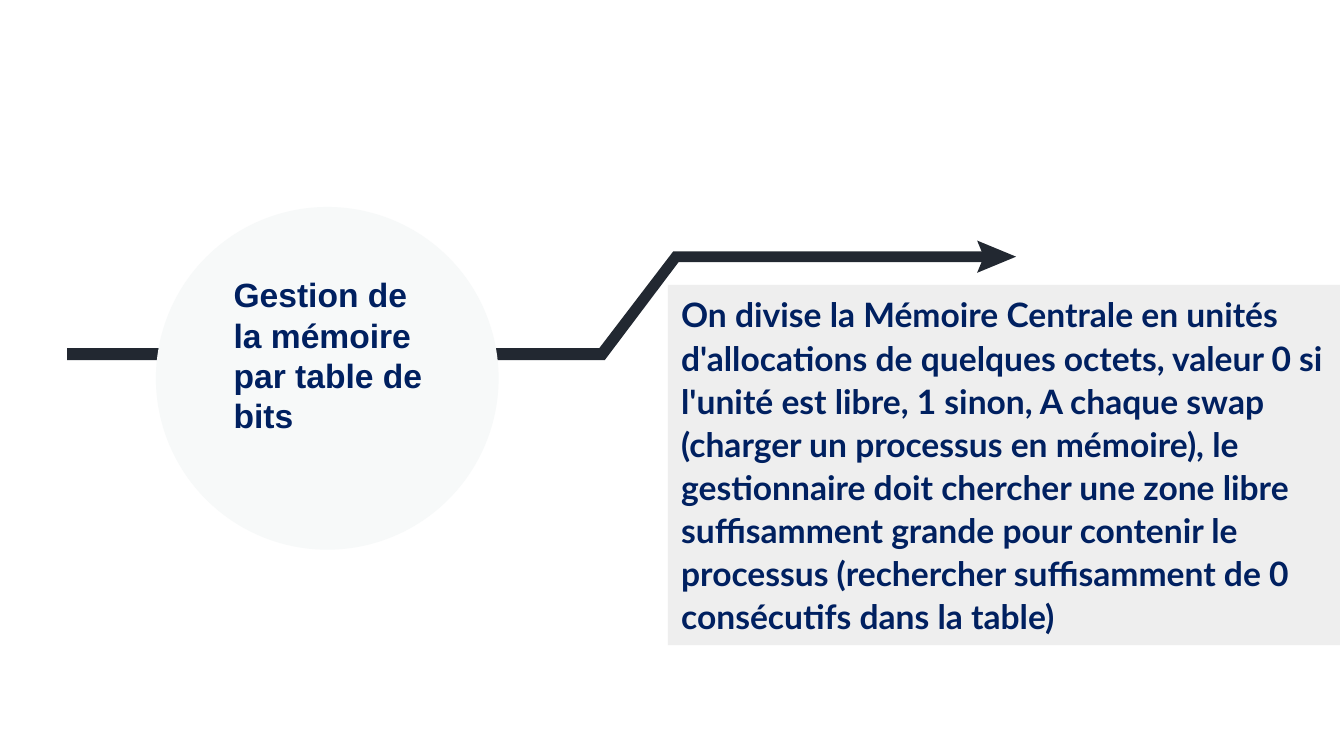
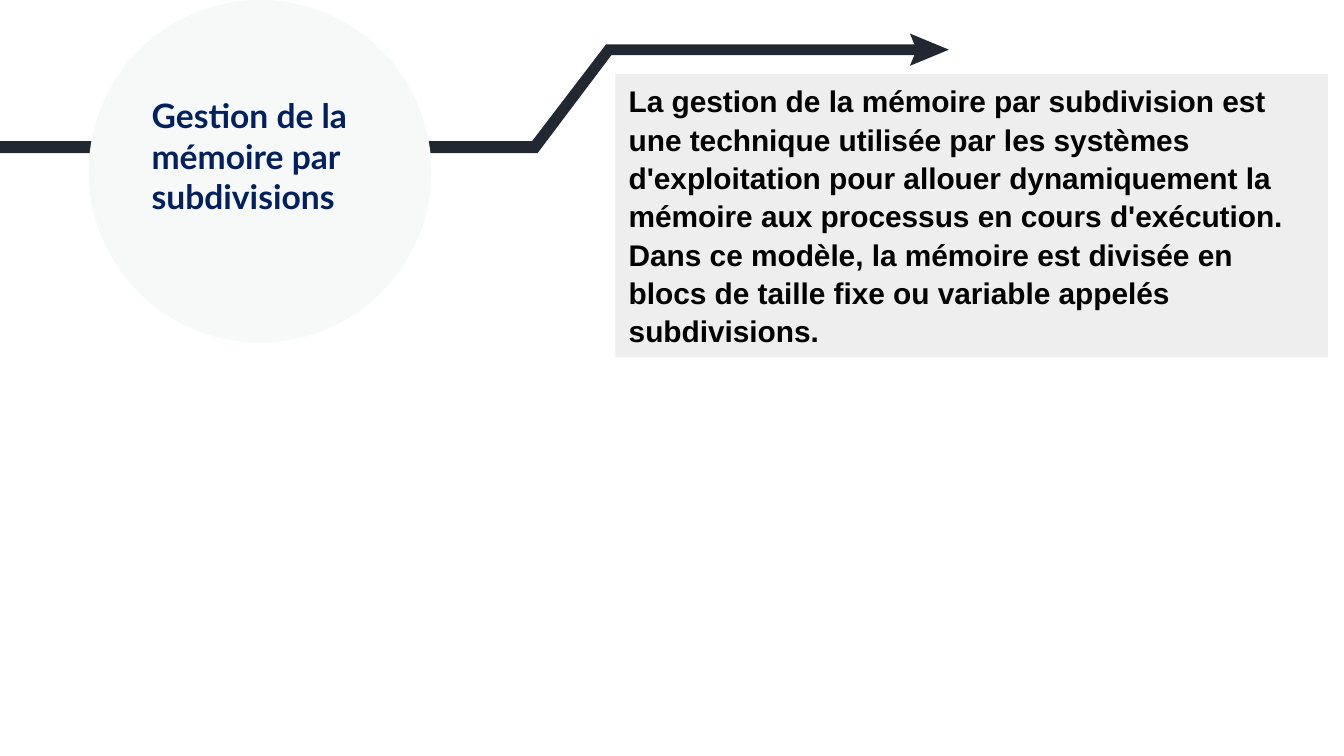
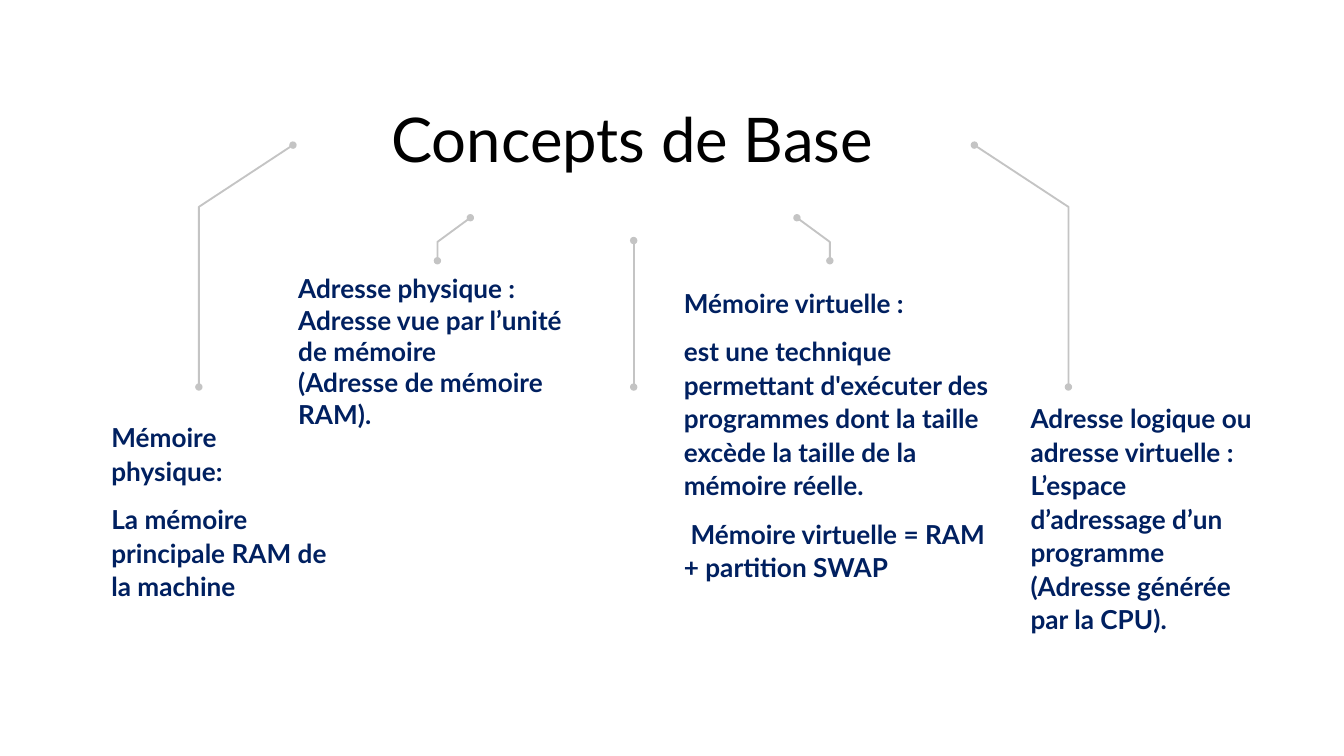
"""Build three slides on memory management."""
from dataclasses import dataclass

import pptx
import pptx.dml.color
import pptx.enum.shapes
import pptx.enum.text
import pptx.oxml
import pptx.oxml.ns
import pptx.util

WIDTH = pptx.util.Inches(10)
HEIGHT = WIDTH * 9 // 16
COLUMNS = 100
ROWS = COLUMNS * 9 / 16

NAVY, BLACK, DARK = "002060", "000000", "222831"
PALE, PANEL, GREY = "F7F9F9", "EEEEEE", "C4C4C4"
LATO, ARIAL = "Lato", "Arial"

Point = tuple[float, float]

BAND: list[Point] = [(0, 10.5), (39.6, 10.5), (45.1, 3.3), (68.6, 3.3),
                     (68.6, 4.1), (45.5, 4.1), (40, 11.4), (0, 11.4)]
ARROWHEAD: list[Point] = [(67.7, 2.5), (70.6, 3.7), (67.7, 4.9), (68.2, 3.7)]
CIRCLE_LEFT, CIRCLE_SIZE = 6.6, 25.5

AXIS = 47.15
BRANCHES: list[list[Point]] = [
    [(72.5, 10.8), (79.5, 15.4), (79.5, 28.8)],
    [(59.3, 16.2), (61.75, 18), (61.75, 19.4)],
]
STEM: list[Point] = [(AXIS, 17.9), (AXIS, 28.8)]


@dataclass(frozen=True)
class Area:
    """A rectangle in grid columns and rows."""
    left: float
    top: float
    width: float
    height: float


@dataclass(frozen=True)
class TextStyle:
    """The look of a block of text."""
    size: float = 14
    font: str = LATO
    color: str = NAVY
    bold: bool = True
    airy: bool = False


@dataclass(frozen=True)
class TextBlock:
    """Paragraphs with their place and look."""
    area: Area
    paragraphs: tuple[str, ...]
    style: TextStyle


@dataclass(frozen=True)
class Topic:
    """A circled heading whose arrow leads to an explanation."""
    origin: Point
    heading: TextBlock
    explanation: TextBlock


TOPICS = [
    Topic(
        (5, 15.4),
        TextBlock(Area(16.4, 19.9, 16.4, 13.1),
                  ("Gestion de la mémoire par table de bits",),
                  TextStyle(18, ARIAL)),
        TextBlock(Area(49.7, 21.2, 50, 26.8),
                  ("On divise la Mémoire Centrale en unités d'allocations de "
                   "quelques octets, valeur 0 si l'unité est libre, 1 sinon, "
                   "A chaque swap (charger un processus en mémoire), le "
                   "gestionnaire doit chercher une zone libre suffisamment "
                   "grande pour contenir le processus (rechercher "
                   "suffisamment de 0 consécutifs dans la table)",),
                  TextStyle(18, airy=True))),
    Topic(
        (0, 0),
        TextBlock(Area(10.3, 6.6, 17.5, 10.1),
                  ("Gestion de la mémoire par subdivisions",),
                  TextStyle(18)),
        TextBlock(Area(45.8, 5.5, 53, 21.1),
                  ("La gestion de la mémoire par subdivision est une technique "
                   "utilisée par les systèmes d'exploitation pour allouer "
                   "dynamiquement la mémoire aux processus en cours "
                   "d'exécution. Dans ce modèle, la mémoire est divisée en "
                   "blocs de taille fixe ou variable appelés subdivisions.",),
                  TextStyle(16, ARIAL, BLACK, airy=True))),
]

TITLE = TextBlock(Area(25.4, 3.7, 43.3, 13.1), ("Concepts de Base",),
                  TextStyle(33, color=BLACK, bold=False))
AIRY = TextStyle(airy=True)
VIRTUAL_MEMORY = TextBlock(
    Area(49.9, 20.7, 25.7, 23.3),
    ("Mémoire virtuelle :",
     "est une technique permettant d'exécuter des programmes dont la taille "
     "excède la taille de la mémoire réelle.",
     "Mémoire virtuelle = RAM + partition SWAP"), AIRY)
CONCEPTS = [
    TextBlock(Area(7.3, 30.7, 18.5, 14.7),
              ("Mémoire physique:", "La mémoire principale RAM de la machine"),
              AIRY),
    TextBlock(Area(21.2, 19.8, 22.2, 12.8),
              ("Adresse physique :", "Adresse vue par l’unité", "de mémoire",
               "(Adresse de mémoire RAM)."), TextStyle()),
    TextBlock(Area(75.7, 29.3, 18.6, 21.1),
              ("Adresse logique ou adresse virtuelle : L’espace d’adressage "
               "d’un programme (Adresse générée par la CPU).",), AIRY),
]


def rgb(color: str) -> pptx.dml.color.RGBColor:
    """Turn a hex string into a colour."""
    return pptx.dml.color.RGBColor.from_string(color)


def across(columns: float) -> int:
    """Convert grid columns to a length."""
    return round(WIDTH * columns / COLUMNS)


def down(rows: float) -> int:
    """Convert grid rows to a length."""
    return round(HEIGHT * rows / ROWS)


def place(area: Area) -> tuple[int, int, int, int]:
    """Convert an area to left, top, width and height."""
    return (across(area.left), down(area.top),
            across(area.width), down(area.height))


def paint(shape, color: str) -> None:
    """Give a shape a flat fill with no line or shadow."""
    shape.shadow.inherit = False
    shape.fill.solid()
    shape.fill.fore_color.rgb = rgb(color)
    shape.line.fill.background()


def add_freeform(page, points: list[Point], close: bool):
    """Draw an outline through grid points."""
    corners = [(across(x), down(y)) for x, y in points]
    builder = page.shapes.build_freeform(*corners[0], scale=1.0)
    builder.add_line_segments(corners[1:], close=close)
    return builder.convert_to_shape()


def write(shape, block: TextBlock) -> None:
    """Fill a shape with left-aligned text from its top."""
    frame, style = shape.text_frame, block.style
    frame.word_wrap = True
    frame.auto_size = pptx.enum.text.MSO_AUTO_SIZE.SHAPE_TO_FIT_TEXT
    frame.vertical_anchor = pptx.enum.text.MSO_ANCHOR.TOP
    frame.text = "\n".join(block.paragraphs)
    for para in frame.paragraphs:
        para.alignment = pptx.enum.text.PP_ALIGN.LEFT
        if style.airy:
            para.line_spacing = 1.07
            para.space_after = pptx.util.Pt(8)
        for span in para.runs:
            span.font.size = pptx.util.Pt(style.size)
            span.font.name = style.font
            span.font.bold = style.bold
            span.font.color.rgb = rgb(style.color)


def add_text(page, block: TextBlock):
    """Add a text box holding a block."""
    box = page.shapes.add_textbox(*place(block.area))
    write(box, block)
    return box


def add_dotted_line(page, points: list[Point]) -> None:
    """Draw a thin line with a dot at both ends."""
    if len(points) == 2:
        (x1, y1), (x2, y2) = points
        shape = page.shapes.add_connector(
            pptx.enum.shapes.MSO_CONNECTOR.STRAIGHT,
            across(x1), down(y1), across(x2), down(y2))
    else:
        shape = add_freeform(page, points, close=False)
        shape.fill.background()
    shape.line.color.rgb = rgb(GREY)
    shape.line.width = pptx.util.Pt(1)
    outline = shape.line._get_or_add_ln()
    for end in ("a:headEnd", "a:tailEnd"):
        dot = pptx.oxml.parse_xml(
            f'<{end} {pptx.oxml.ns.nsdecls("a")} type="oval" w="sm" len="sm"/>')
        outline.append(dot)
    outline.addnext(pptx.oxml.parse_xml(
        f'<a:effectLst {pptx.oxml.ns.nsdecls("a")}/>'))


def add_topic(page, topic: Topic) -> None:
    """Draw the arrow, the circled heading and the explanation."""
    left, top = topic.origin
    for outline in (BAND, ARROWHEAD):
        points = [(left + x, top + y) for x, y in outline]
        paint(add_freeform(page, points, close=True), DARK)
    circle = page.shapes.add_shape(
        pptx.enum.shapes.MSO_SHAPE.OVAL,
        *place(Area(left + CIRCLE_LEFT, top, CIRCLE_SIZE, CIRCLE_SIZE)))
    paint(circle, PALE)
    add_text(page, topic.heading)
    panel = page.shapes.add_shape(pptx.enum.shapes.MSO_SHAPE.RECTANGLE,
                                  *place(topic.explanation.area))
    paint(panel, PANEL)
    write(panel, topic.explanation)


def add_concepts(page) -> None:
    """Draw the title, its branches and the concepts below."""
    frame = add_text(page, TITLE).text_frame
    frame.auto_size = pptx.enum.text.MSO_AUTO_SIZE.NONE
    frame.vertical_anchor = pptx.enum.text.MSO_ANCHOR.MIDDLE
    frame.margin_top = frame.margin_bottom = pptx.util.Inches(0.1)
    frame.paragraphs[0].alignment = pptx.enum.text.PP_ALIGN.CENTER
    for branch in BRANCHES:
        add_dotted_line(page, branch)
        add_dotted_line(page, [(2 * AXIS - x, y) for x, y in branch])
    add_dotted_line(page, STEM)
    for block in CONCEPTS:
        add_text(page, block)
    formula = add_text(page, VIRTUAL_MEMORY).text_frame.paragraphs[-1]
    formula._p.get_or_add_pPr().set("indent", str(across(0.5)))


def main() -> None:
    """Build and save the deck."""
    deck = pptx.Presentation()
    deck.slide_width, deck.slide_height = WIDTH, HEIGHT
    blank = deck.slide_layouts[6]
    for topic in TOPICS:
        add_topic(deck.slides.add_slide(blank), topic)
    add_concepts(deck.slides.add_slide(blank))
    deck.save("out.pptx")


if __name__ == "__main__":
    main()
